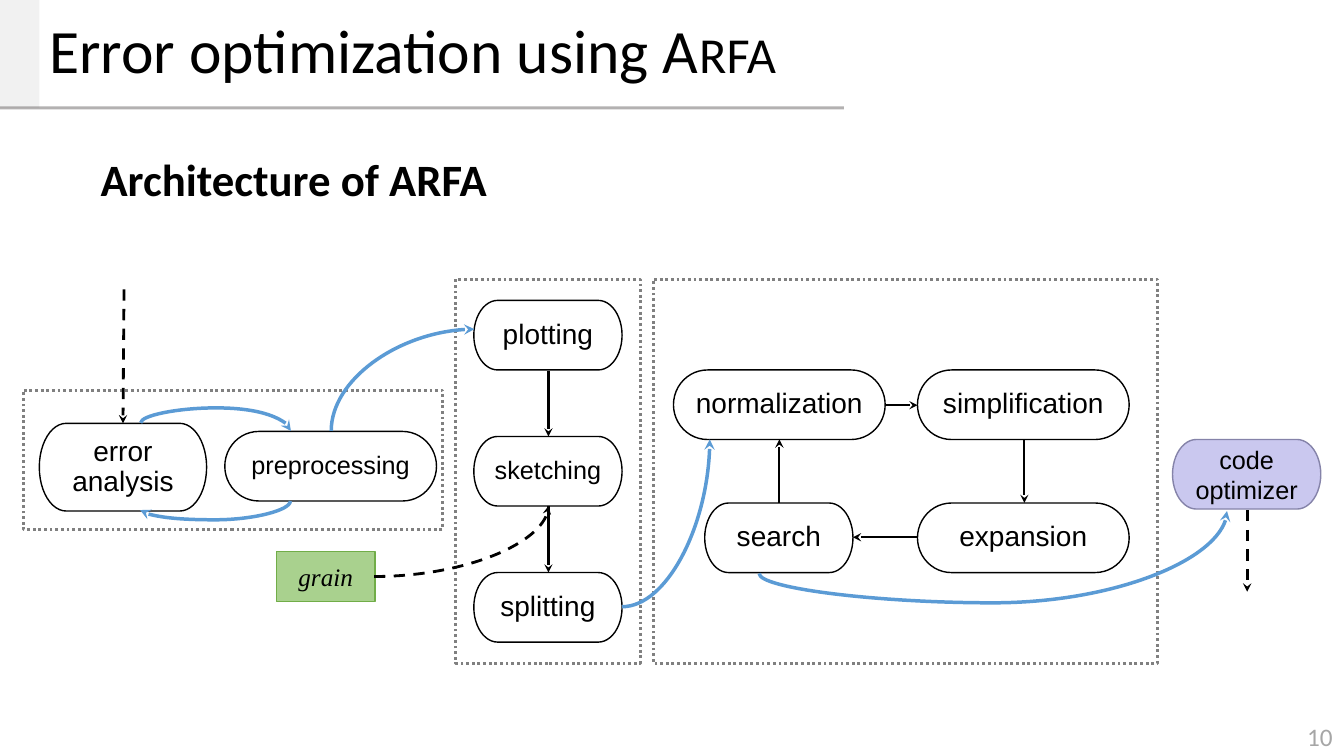
"""Build the slide showing the architecture of ARFA."""
from lxml import etree
from pptx import Presentation
from pptx.dml.color import RGBColor
from pptx.enum import dml, shapes, text
from pptx.oxml import ns
from pptx.util import Inches, Pt

BLACK, GRAY, BLUE = "000000", "808080", "5B9BD5"
TERMINATOR = shapes.MSO_SHAPE.FLOWCHART_TERMINATOR
RECT = shapes.MSO_SHAPE.RECTANGLE
DASH = dml.MSO_LINE.DASH


def paint(fmt, color, alpha=None):
    """Give a fill or font colour object a solid colour."""
    if hasattr(fmt, "solid"):
        fmt.solid()
        target = fmt.fore_color
    else:
        target = fmt.color
    target.rgb = RGBColor.from_string(color)
    if alpha:
        for clr in fmt._xPr.iter(ns.qn("a:srgbClr")):
            etree.SubElement(clr, ns.qn("a:alpha"), val=str(alpha * 1000))


def write(sp, words, size, font="Arial", color=BLACK, align=text.PP_ALIGN.CENTER, spacing=None):
    """Set the text of a shape and format it; return its runs."""
    tf = sp.text_frame
    tf.text = words
    tf.word_wrap = True
    tf.auto_size = text.MSO_AUTO_SIZE.NONE
    tf.vertical_anchor = text.MSO_ANCHOR.MIDDLE
    runs = []
    for p in tf.paragraphs:
        p.alignment = align
        p.line_spacing = spacing
        for r in p.runs:
            r.font.name, r.font.size = font, Pt(size)
            paint(r.font, color)
            runs.append(r)
    return runs


prs = Presentation()
prs.slide_width, prs.slide_height = Inches(13.33), Inches(7.5)
s = prs.slides.add_slide(prs.slide_layouts[5])

title = s.shapes.title
title.left, title.top, title.width, title.height = map(Inches, (0.39, 0, 7.96, 1.07))
write(title, "Error optimization using A", 44, "Calibri", align=text.PP_ALIGN.LEFT, spacing=0.9)
r = title.text_frame.paragraphs[0].add_run()
r.text = "RFA"
r.font.name, r.font.size = "Calibri", Pt(36)
paint(r.font, BLACK)

bar = s.shapes.add_shape(RECT, *map(Inches, (0, -0.03, 0.39, 1.1)))
bar.shadow.inherit = False
paint(bar.fill, "E7E6E6", 55)
bar.line.fill.background()

number = s.shapes.add_textbox(*map(Inches, (12.85, 7.11, 0.48, 0.4)))
write(number, "10", 18, "Calibri", "A6A6A6")

heading = s.shapes.add_textbox(*map(Inches, (0.9, 1.45, 4.07, 0.64)))
write(heading, "Architecture of ARFA", 32, "Calibri", align=text.PP_ALIGN.LEFT)[0].font.bold = True
heading.text_frame.word_wrap = False

for frame in ((0.23, 3.87, 4.16, 1.38), (4.52, 2.77, 1.83, 3.81), (6.48, 2.77, 5, 3.81)):
    sp = s.shapes.add_shape(RECT, *map(Inches, frame))
    sp.shadow.inherit = False
    sp.fill.background()
    paint(sp.line.fill, GRAY)
    sp.line.width = Pt(2)
    sp.line.dash_style = dml.MSO_LINE.ROUND_DOT

steps = [
    ("error\nanalysis", 20, 0.39, 4.2, 1.66, 0.87),
    ("preprocessing", 18, 2.23, 4.28, 2.1, 0.69),
    ("plotting", 20, 4.7, 2.98, 1.47, 0.69),
    ("sketching", 18, 4.7, 4.33, 1.47, 0.69),
    ("splitting", 20, 4.7, 5.68, 1.47, 0.69),
    ("search", 20, 6.99, 4.99, 1.47, 0.69),
    ("normalization", 20, 6.68, 3.67, 2.1, 0.69),
    ("simplification", 20, 9.1, 3.67, 2.1, 0.69),
    ("expansion", 20, 9.1, 4.99, 2.1, 0.69),
    ("code\noptimizer", 18, 11.63, 4.36, 1.47, 0.69),
    ("grain", 18, 2.74, 5.47, 0.98, 0.5),
]
special = {"code\noptimizer": ("CAC8EF", "8583A9"), "grain": ("A9D18E", "71AD48")}
for name, size, *box in steps:
    is_grain = name == "grain"
    sp = s.shapes.add_shape(RECT if is_grain else TERMINATOR, *map(Inches, box))
    sp.shadow.inherit = False
    fill, outline = special.get(name, (None, BLACK))
    if fill:
        paint(sp.fill, fill)
    else:
        sp.fill.background()
    paint(sp.line.fill, outline)
    sp.line.width = Pt(1)
    runs = write(sp, name, size, "Times New Roman" if is_grain else "Arial",
                 spacing=None if fill else 0.9)
    runs[0].font.italic = is_grain
    tf = sp.text_frame
    tf.margin_left = tf.margin_right = tf.margin_top = tf.margin_bottom = 0

# Each link: begin x, begin y, end x, end y, colour, width, dash, preset, rotation, adjustment
links = [
    (1.23, 2.87, 1.22, 4.2, BLACK, 2, DASH, "line", 0, None),
    (12.37, 5.06, 12.37, 5.87, BLACK, 2, DASH, "line", 0, None),
    (3.49, 3.06, 4.5, 4.48, BLUE, 2.5, None, "curvedConnector2", 270, None),
    (3.71, 5.72, 5.44, 5.02, BLACK, 2, DASH, "curvedConnector2", 0, None),
    (6.17, 6.02, 7.04, 4.36, BLUE, 2.5, None, "curvedConnector2", 0, None),
    (10.16, 3.68, 9.54, 3.06, BLUE, 2.5, None, "curvedConnector3", 90, -0.469),
    (2.18, 3.49, 2.1, 4.98, BLUE, 2.5, None, "curvedConnector3", 270, -1.859),
    (2.09, 4.27, 2.18, 5.76, BLUE, 2.5, None, "curvedConnector3", 90, 2.074),
]
links[5] = (10.16, 7.7, 9.54, 3.06) + links[5][4:]
for ends in ((5.44, 3.68, 5.44, 4.33), (5.44, 5.02, 5.44, 5.68), (7.73, 4.99, 7.73, 4.36),
             (8.78, 4.02, 9.1, 4.02), (10.16, 4.36, 10.16, 4.99), (9.1, 5.33, 8.46, 5.33)):
    links.append(ends + (BLACK, 1.5, None, "line", 0, None))
links.append((0, 1.07, 8.37, 1.07, "767171", 2.25, None, "rule", 0, None))

for *ends, color, width, dash, preset, turn, bend in links:
    curved = preset.startswith("curved")
    kind = shapes.MSO_CONNECTOR.CURVE if curved else shapes.MSO_CONNECTOR.STRAIGHT
    link = s.shapes.add_connector(kind, *map(Inches, ends))
    is_rule = preset == "rule"
    paint(link.line.fill, color, 55 if is_rule else None)
    link.line.width = Pt(width)
    if dash:
        link.line.dash_style = dash
    spPr = link._element.spPr
    if curved:
        geom = spPr.find(ns.qn("a:prstGeom"))
        geom.set("prst", preset)
        spPr.find(ns.qn("a:xfrm")).set("rot", str(turn * 60000))
        if bend:
            guides = geom.find(ns.qn("a:avLst"))
            etree.SubElement(guides, ns.qn("a:gd"), name="adj1", fmla=f"val {bend * 100000:.0f}")
    if not is_rule:
        etree.SubElement(spPr.find(ns.qn("a:ln")), ns.qn("a:tailEnd"), type="stealth")
    etree.SubElement(spPr, ns.qn("a:effectLst"))

prs.save("out.pptx")
